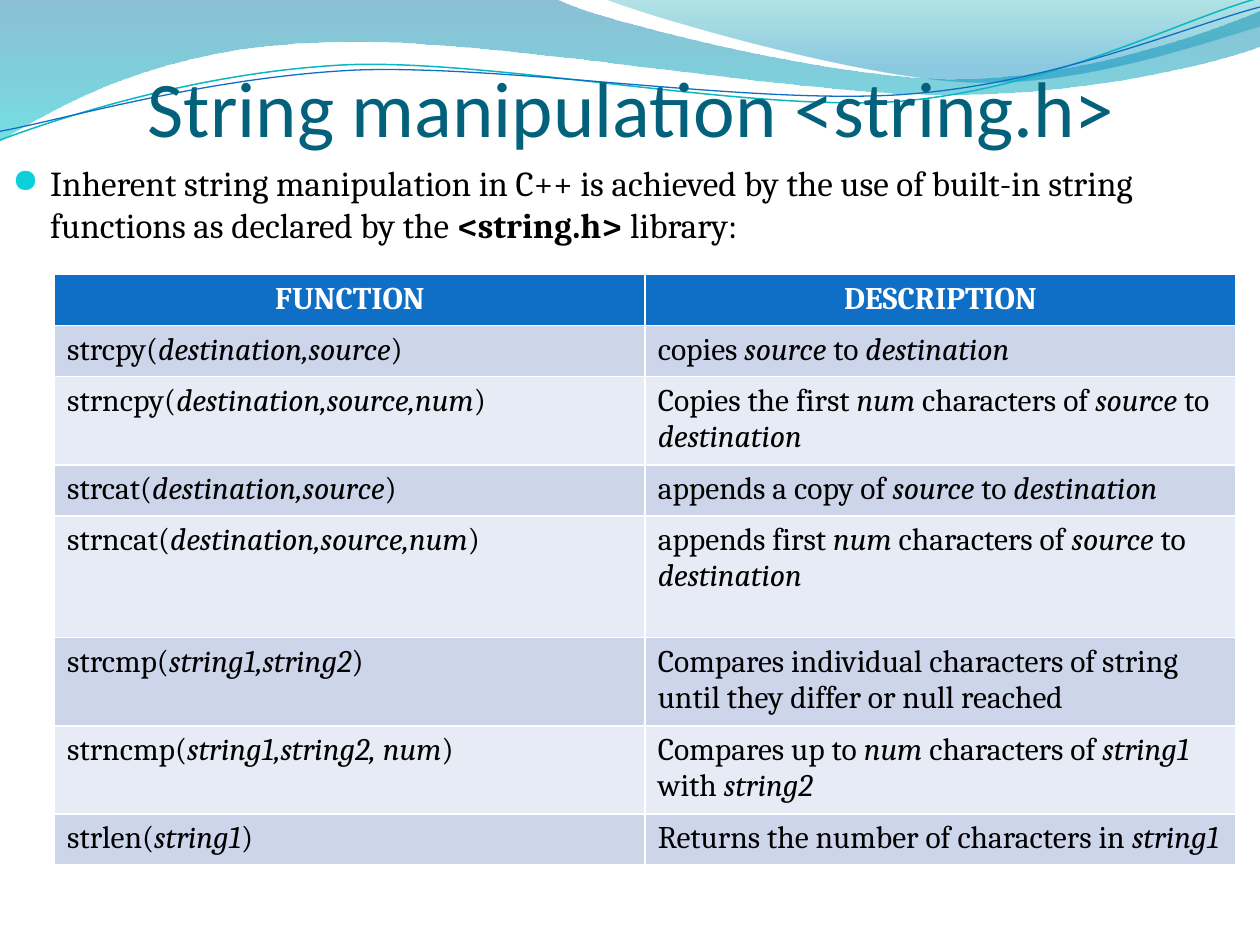
from lxml.etree import SubElement
from pptx import Presentation
from pptx.dml.color import RGBColor
from pptx.enum.text import MSO_ANCHOR as Anchor, PP_ALIGN as Align
from pptx.oxml.ns import qn
from pptx.util import Pt

FUNCTIONS = [
    ("strcpy(*destination,source*)", "copies *source* to *destination*"),
    ("strncpy(*destination,source,num*)",
     "Copies the first *num* characters of *source* to *destination*"),
    ("strcat(*destination,source*)", "appends a copy of *source* to *destination*"),
    ("strncat(*destination,source,num*)",
     "appends first *num* characters of *source* to *destination*"),
    ("strcmp(*string1,string2*)",
     "Compares individual characters of string until they differ or null reached"),
    ("strncmp(*string1,string2, num*)",
     "Compares up to *num* characters of *string1* with *string2*"),
    ("strlen(*string1*)", "Returns the number of characters in *string1*"),
]
ROW_HEIGHT, TALL_ROW_HEIGHT, TALL_ROW = 29.2, 69.5, 4

# Outlines in points: two numbers are a corner, six are a Bézier curve.
BROAD_WAVE = [(0, 0), (317, -1), (343, 12, 478, 45, 546, 45),
              (614, 45, 690, 19, 720, 6), (721, 26), (708, 32, 626, 55, 537, 54),
              (448, 54, 275, 20, 185, 24), (93, 26, 33, 60, -1, 81)]
RIGHT_WAVE = [(345, -1), (366, 8, 491, 45, 554, 47),
              (618, 50, 692, 23, 720, 15), (720, 0)]
TEAL_CURVE = [(0, 80), (35, 67, 114, 41, 199, 37),
              (284, 34, 427, 64, 513, 58), (600, 51, 675, 11, 719, -1)]
BLUE_CURVE = [(0, 75), (34, 69, 118, 44, 204, 40),
              (290, 37, 430, 60, 516, 54), (602, 48, 678, 15, 720, 4)]


def color(hex_string):
    return RGBColor.from_string(hex_string)


def write(frame, text, size, font="Cambria", fill="000000", align=Align.LEFT,
          bold=False, emphasis="italic"):
    """Write one paragraph; parts between asterisks get the emphasis."""
    paragraph = frame.paragraphs[0]
    paragraph.alignment = align
    for index, part in enumerate(text.split("*")):
        if not part:
            continue
        run = paragraph.add_run()
        run.text = part
        run.font.name, run.font.size, run.font.bold = font, Pt(size), bold
        run.font.color.rgb = color(fill)
        if index % 2:
            setattr(run.font, emphasis, True)
    return paragraph


def add_outline(slide, outline, left, top, closed):
    """Draw the outline through its end points, then bend the curved parts."""
    start, *others = [(Pt(part[-2]), Pt(part[-1])) for part in outline]
    builder = slide.shapes.build_freeform(*start)
    builder.add_line_segments(others, close=closed)
    shape = builder.convert_to_shape(Pt(left), Pt(top))
    shape.shadow.inherit = False
    segments = list(shape._element.iter(qn("a:lnTo")))
    for segment, part in zip(segments, outline[1:]):
        if len(part) == 2:
            continue
        segment.tag = qn("a:cubicBezTo")
        end = segment[0]
        for x, y in (part[:2], part[2:4]):
            control = SubElement(segment, qn("a:pt"))
            control.set("x", str(Pt(x) - builder.shape_offset_x))
            control.set("y", str(Pt(y) - builder.shape_offset_y))
        segment.append(end)
    return shape


def add_wave(slide, outline, left, top, stops):
    wave = add_outline(slide, outline, left, top, closed=True)
    wave.line.fill.background()
    wave.fill.gradient()
    wave.fill.gradient_angle = 270
    for stop, (position, fill, opacity) in zip(wave.fill.gradient_stops, stops):
        stop.position = position
        stop.color.rgb = color(fill)
        rgb = stop._gs.find(qn("a:srgbClr"))
        SubElement(rgb, qn("a:alpha"), val=str(opacity * 1000))


def add_curve(slide, outline, left, top, stroke, width):
    curve = add_outline(slide, outline, left, top, closed=False)
    curve.fill.background()
    curve.line.color.rgb = color(stroke)
    curve.line.width = Pt(width)


def add_banner(slide, left, top):
    add_wave(slide, BROAD_WAVE, left, top, [(0, "0074A1", 45), (1, "00C6CF", 55)])
    add_wave(slide, RIGHT_WAVE, left, top, [(0, "00A1A9", 30), (0.8, "008BBF", 45)])
    add_curve(slide, TEAL_CURVE, left, top, "0AB8BF", 0.85)
    add_curve(slide, BLUE_CURVE, left, top, "0F6FC6", 0.75)


def set_insets(frame, left, top, right, bottom):
    frame.margin_left, frame.margin_top = Pt(left), Pt(top)
    frame.margin_right, frame.margin_bottom = Pt(right), Pt(bottom)


def place_title(slide, left, top, width, height):
    title = slide.shapes.title
    title.left, title.top = Pt(left), Pt(top)
    title.width, title.height = Pt(width), Pt(height)
    frame = title.text_frame
    frame.word_wrap = True
    frame.vertical_anchor = Anchor.BOTTOM
    set_insets(frame, 0, 3.6, 0, 0)
    write(frame, "String manipulation <string.h>", 45, font="Calibri",
          fill="04617B", align=Align.CENTER)
    slide.shapes._spTree.append(title._element)  # in front of the banner


def add_intro(slide, left, top, width, height):
    frame = slide.shapes.add_textbox(Pt(left), Pt(top), Pt(width), Pt(height)).text_frame
    frame.word_wrap = True
    set_insets(frame, 7.2, 3.6, 7.2, 3.6)
    paragraph = write(
        frame, "Inherent string manipulation in C++ is achieved by the use of built-in "
        "string functions as declared by the *<string.h> *library:", 20, emphasis="bold")
    properties = paragraph._p.get_or_add_pPr()
    properties.set("marL", str(Pt(21.6)))
    properties.set("indent", str(-Pt(21.6)))
    bullet_color = SubElement(properties, qn("a:buClr"))
    SubElement(bullet_color, qn("a:srgbClr"), val="0BD0D9")
    SubElement(properties, qn("a:buSzPct"), val="95000")
    SubElement(properties, qn("a:buFont"), typeface="OpenSymbol")
    SubElement(properties, qn("a:buChar"), char="●")


def add_function_table(slide, left, top, width):
    rows = [("FUNCTION", "DESCRIPTION"), *FUNCTIONS]
    table = slide.shapes.add_table(len(rows), 2, Pt(left), Pt(top), Pt(width),
                                   Pt(ROW_HEIGHT * len(rows))).table
    for column in table.columns:
        column.width = Pt(width / 2)
    for index, (row, texts) in enumerate(zip(table.rows, rows)):
        row.height = Pt(TALL_ROW_HEIGHT if index == TALL_ROW else ROW_HEIGHT)
        header = index == 0
        band = "0F6FC6" if header else "CCD5EA" if index % 2 else "E7EBF5"
        style = dict(fill="FFFFFF", align=Align.CENTER, bold=True) if header else {}
        for cell, text in zip(row.cells, texts):
            cell.fill.solid()
            cell.fill.fore_color.rgb = color(band)
            write(cell.text_frame, text, 18, **style)


def main():
    deck = Presentation()
    deck.slide_width, deck.slide_height = Pt(720), Pt(540)
    slide = deck.slides.add_slide(deck.slide_layouts[5])
    add_banner(slide, 0, 0)
    place_title(slide, 36.7, 43.2, 648, 44.6)
    add_intro(slide, 0, 88.6, 711.4, 62.6)
    add_function_table(slide, 31.2, 156.8, 675)
    deck.save("out.pptx")


if __name__ == "__main__":
    main()
